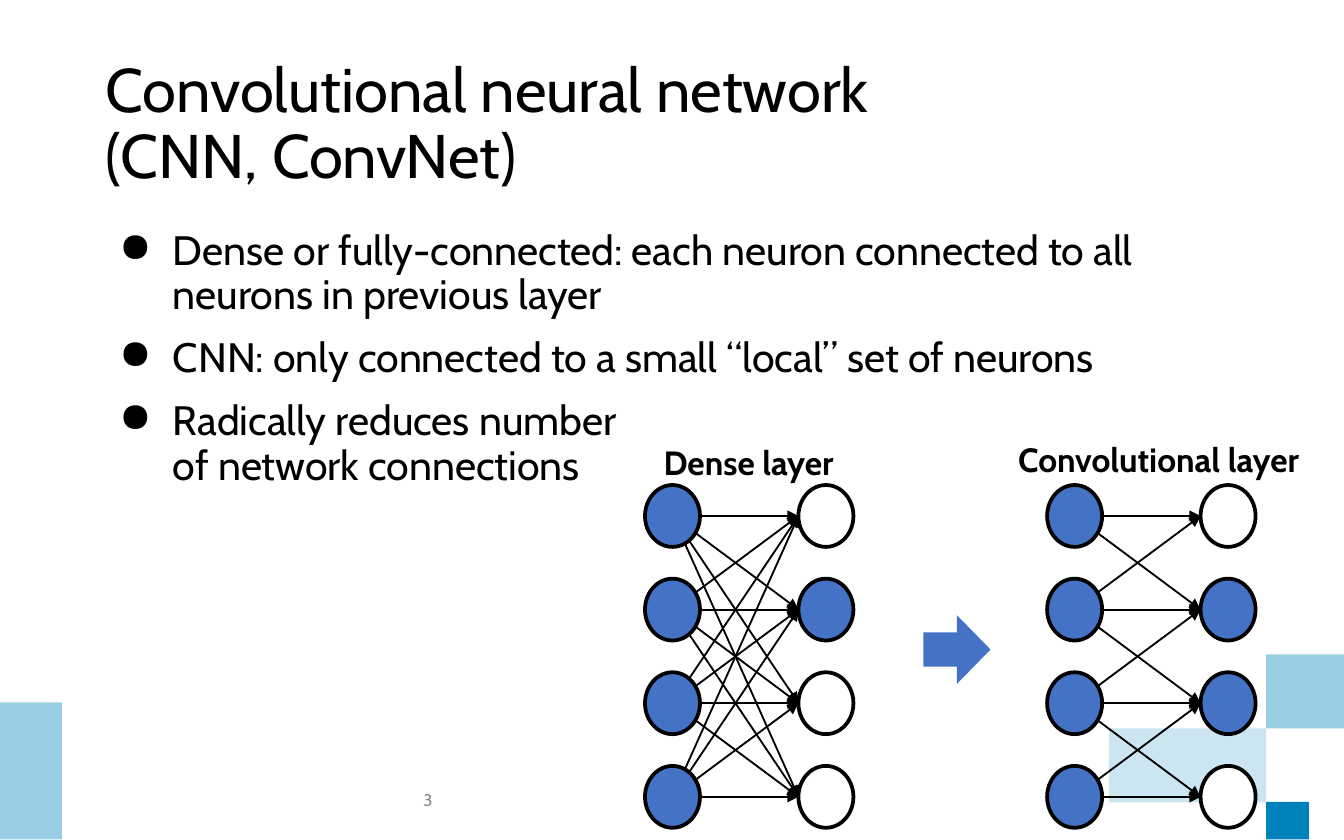
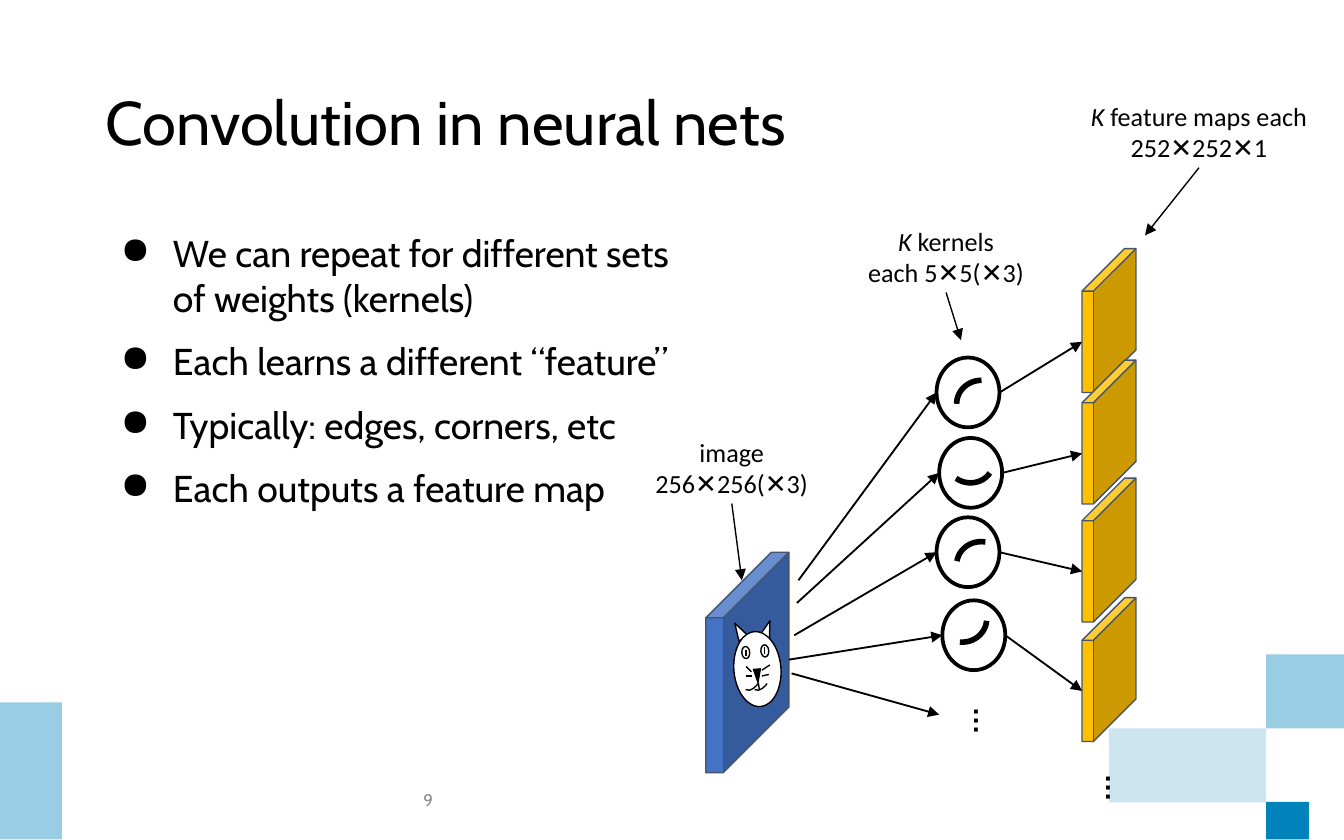
from copy import deepcopy

from lxml.etree import SubElement
from pptx import Presentation
from pptx.dml.color import RGBColor
from pptx.enum.shapes import MSO_CONNECTOR, MSO_SHAPE
from pptx.enum.text import MSO_ANCHOR, PP_ALIGN
from pptx.oxml.ns import qn
from pptx.util import Cm, Pt

# Shared look
BLACK, WHITE, GREY = "000000", "FFFFFF", "888888"
BAND, BLUE, GOLD, SLATE = "0082BB", "4472C4", "FFC000", "44546A"
BANDS = [  # left, top, width, height, opacity in percent
    (0, 13.28, 1.17, 2.59, 40),
    (23.93, 15.16, 0.81, 0.71, 100),
    (20.96, 13.77, 2.97, 1.4, 20),
    (23.93, 12.37, 1.47, 1.4, 40),
]
TITLE_BOX = (1.75, 0.84, 21.9, 3.07)
NUMBER_BOX = (7.75, 14.71, 5.72, 0.84)
BODY_LEFT, BODY_TOP, BODY_HEIGHT = 1.75, 4.22, 10.08
TITLE = dict(size=33, spacing=0.9, anchor=MSO_ANCHOR.MIDDLE)
NUMBER = dict(size=9, color=GREY, anchor=MSO_ANCHOR.MIDDLE)
LAYER_LABEL = dict(size=18, bold=True, align=PP_ALIGN.CENTER, insets=(0.18, 0.1))
NOTE = dict(size=14, face="Calibri", align=PP_ALIGN.CENTER, insets=(0.25, 0.25))
DOTS = dict(size=24, insets=(0.25, 0.25), turn=90)

# Slide 1 content
CNN = dict(
    title="Convolutional neural network\n(CNN, ConvNet)",
    number="3",
    width=21.9,
    body=dict(size=22, spacing=0.9, hang=1.02),
    points=[
        "Dense or fully-connected: each neuron connected to all neurons in previous layer",
        "CNN: only connected to a small “local” set of neurons",
        "Radically reduces number\nof network connections",
    ],
)
LAYERS = [  # label, label box, left of first column, reach of an edge, output fills
    ("Dense layer", (11, 8.26, 6.3, 1.07), 12.19, 3, [WHITE, BLUE, WHITE, WHITE]),
    ("Convolutional layer", (18.52, 8.2, 6.76, 1.07), 19.79, 1, [WHITE, BLUE, BLUE, WHITE]),
]
NEURON_W, NEURON_H = 1.04, 1.17
NEURON_TOP, NEURON_PITCH, COLUMN_GAP = 9.17, 1.77, 2.9
BETWEEN_LAYERS = (17.45, 11.63, 1.27, 1.3)

# Slide 2 content
NETS = dict(
    title="Convolution in neural nets",
    number="9",
    width=11.61,
    body=dict(size=20, hang=0.99),
    points=[
        "We can repeat for different sets of weights (kernels)",
        "Each learns a different “feature”",
        "Typically: edges, corners, etc",
        "Each outputs a feature map",
    ],
)
IMAGE_BOX = (13.34, 10.44, 1.57, 4.17)
CUBE_DEPTH = 0.79
MAP_LEFT, MAP_W, MAP_H = 20.45, 1.02, 2.72
KERNEL_W, KERNEL_H = 1.19, 1.32
STROKE_W, STROKE_H = 0.94, 0.89
KERNELS = [  # kernel corner, stroke offset, stroke turn, arrow start, map top
    ((17.7, 6.76), (0.38, 0.43), 0, (15.09, 10.97), 4.7),
    ((17.75, 8.28), (0.1, -0.05), 214.4, (15.06, 11.4), 6.81),
    ((17.7, 9.78), (0.38, 0.46), 9.5, (15.01, 12.01), 9.04),
    ((17.81, 11.35), (-0.1, -0.1), 185, (14.91, 12.47), 11.3),
]
MORE_KERNELS = ((14.96, 12.73), (17.75, 13.51))
DOTS_BOXES = [(18.03, 13.26, 1.63, 1.35), (20.52, 14.53, 1.63, 1.35)]
NOTES = [  # runs as (text, italic), box, arrow tip
    ([("image 256✕256(✕3)", False)], (11.76, 8, 4.14, 1.52), (14.02, 10.97)),
    ([("K", True), (" kernels\neach 5✕5(✕3)", False)], (15.67, 4.01, 4.42, 1.52), (18.16, 6.43)),
    ([("K", True), (" feature maps each 252✕252✕1", False)], (19.79, 1.65, 5.74, 1.52), (21.64, 4.45)),
]
CAT_PARTS = [  # preset, box, turn, fill
    (MSO_SHAPE.ISOSCELES_TRIANGLE, (13.87, 11.76, 0.2, 0.33), 330.3, WHITE),
    (MSO_SHAPE.ISOSCELES_TRIANGLE, (14.4, 11.73, 0.2, 0.33), 17.8, WHITE),
    (MSO_SHAPE.OVAL, (13.87, 11.94, 0.89, 1.42), 355.3, WHITE),
    (MSO_SHAPE.OVAL, (14.02, 12.22, 0.15, 0.23), 355.3, WHITE),
    (MSO_SHAPE.OVAL, (14.38, 12.19, 0.15, 0.23), 355.3, WHITE),
    (MSO_SHAPE.ISOSCELES_TRIANGLE, (14.25, 12.65, 0.13, 0.25), 175.3, BLACK),
    (MSO_SHAPE.ARC, (14.27, 12.62, 0.25, 0.46), 215.6, None),
    (MSO_SHAPE.ARC, (14.1, 12.62, 0.25, 0.46), 215.6, None),
]
CAT_LINES = [  # pupils, chin, whiskers
    ((14.45, 12.24), (14.45, 12.37)),
    ((14.1, 12.29), (14.1, 12.4)),
    ((14.33, 12.9), (14.35, 13.03)),
    ((14.4, 12.67), (14.55, 12.57)),
    ((14.4, 12.78), (14.53, 12.75)),
    ((14.2, 12.7), (14.1, 12.6)),
    ((14.22, 12.78), (14.1, 12.78)),
]


def rgb(value):
    return RGBColor.from_string(value)


def cm(values):
    return [Cm(value) for value in values]


# Drawing helpers
def add_part(shapes, preset, box, fill=None, line=None, weight=0.75, turn=0, opacity=100):
    part = shapes.add_shape(preset, *cm(box))
    part.shadow.inherit = False
    part.rotation = turn
    if fill:
        part.fill.solid()
        part.fill.fore_color.rgb = rgb(fill)
        if opacity < 100:
            color = part.fill._xPr.find(".//" + qn("a:srgbClr"))
            SubElement(color, qn("a:alpha")).set("val", str(opacity * 1000))
    else:
        part.fill.background()
    if line:
        part.line.color.rgb = rgb(line)
        part.line.width = Pt(weight)
    else:
        part.line.fill.background()
    if preset == MSO_SHAPE.ARC:
        part._element.spPr.xfrm.set("flipH", "1")
    return part


def add_line(shapes, start, end, weight=1, arrow=True):
    line = shapes.add_connector(MSO_CONNECTOR.STRAIGHT, *cm(start + end))
    line.line.color.rgb = rgb(BLACK)
    line.line.width = Pt(weight)
    if arrow:
        SubElement(line.line._get_or_add_ln(), qn("a:tailEnd")).set("type", "triangle")
    SubElement(line._element.spPr, qn("a:effectLst"))
    return line


def add_bullet(paragraph, hang):
    props = paragraph._p.get_or_add_pPr()
    props.set("marL", str(Cm(1.27)))
    props.set("indent", str(-Cm(hang)))
    SubElement(SubElement(props, qn("a:buClr")), qn("a:srgbClr")).set("val", BLACK)
    SubElement(props, qn("a:buChar")).set("char", "●")


def add_text(slide, paragraphs, box, size, face="Cabin", color=BLACK, bold=False, align=None,
             anchor=MSO_ANCHOR.TOP, insets=(0.25, 0.13), spacing=None, hang=None, turn=0):
    text_box = slide.shapes.add_textbox(*cm(box))
    text_box.rotation = turn
    frame = text_box.text_frame
    side, edge = cm(insets)
    frame_format = dict(word_wrap=True, vertical_anchor=anchor, margin_left=side,
                        margin_right=side, margin_top=edge, margin_bottom=edge)
    for name, value in frame_format.items():
        setattr(frame, name, value)
    for index, runs in enumerate(paragraphs):
        paragraph = frame.add_paragraph() if index else frame.paragraphs[0]
        if hang:
            add_bullet(paragraph, hang)
        paragraph_format = dict(alignment=align, line_spacing=spacing,
                                space_before=Pt(10) if index else None)
        for name, value in paragraph_format.items():
            setattr(paragraph, name, value)
        for text, italic in [(runs, False)] if isinstance(runs, str) else runs:
            add_run(paragraph, text, color, dict(name=face, size=Pt(size), bold=bold, italic=italic))
    return text_box


def add_run(paragraph, text, color, font_format):
    for index, line in enumerate(text.split("\n")):
        if index:
            paragraph.add_line_break()
            line_break = paragraph._p.findall(qn("a:br"))[-1]
            line_break.insert(0, deepcopy(run._r.rPr))
        run = paragraph.add_run()
        run.text = line
        for name, value in font_format.items():
            setattr(run.font, name, value)
        run.font.color.rgb = rgb(color)


def add_base(deck, content):
    slide = deck.slides.add_slide(deck.slide_layouts[6])
    for *box, opacity in BANDS:
        add_part(slide.shapes, MSO_SHAPE.RECTANGLE, box, BAND, opacity=opacity)
    add_text(slide, [content["title"]], TITLE_BOX, **TITLE)
    body_box = (BODY_LEFT, BODY_TOP, content["width"], BODY_HEIGHT)
    add_text(slide, content["points"], body_box, **content["body"])
    add_text(slide, [content["number"]], NUMBER_BOX, **NUMBER)
    return slide


# Slide 1: two layers of neurons side by side
def add_layer(slide, label, label_box, left, reach, outputs):
    right = left + COLUMN_GAP
    tops = [NEURON_TOP + row * NEURON_PITCH for row in range(len(outputs))]
    for source, source_top in enumerate(tops):
        for target, target_top in enumerate(tops):
            if abs(source - target) <= reach:
                add_line(slide.shapes, (left + NEURON_W / 2, source_top + NEURON_H / 2),
                         (right, target_top + NEURON_H / 2))
    for top, output in zip(tops, outputs):
        for x, fill in ((left, BLUE), (right, output)):
            add_part(slide.shapes, MSO_SHAPE.OVAL, (x, top, NEURON_W, NEURON_H), fill, BLACK, 2)
    add_text(slide, [label], label_box, **LAYER_LABEL)


# Slide 2: image, kernels and feature maps
def add_cube(slide, box, fill):
    cube = add_part(slide.shapes, MSO_SHAPE.CUBE, box, fill, SLATE)
    cube.adjustments[0] = CUBE_DEPTH


def add_cat(slide):
    cat = slide.shapes.add_group_shape().shapes
    for preset, box, turn, fill in CAT_PARTS:
        add_part(cat, preset, box, fill, BLACK, turn=turn)
    for start, end in CAT_LINES:
        add_line(cat, start, end, 0.75, arrow=False)


def add_kernel(slide, corner, offset, turn, start, map_top):
    x, y = corner
    middle = y + KERNEL_H / 2
    face_middle = map_top + (MAP_H + CUBE_DEPTH * MAP_W) / 2
    add_cube(slide, (MAP_LEFT, map_top, MAP_W, MAP_H), GOLD)
    add_line(slide.shapes, start, (x, middle))
    add_line(slide.shapes, (x + KERNEL_W, middle), (MAP_LEFT, face_middle))
    kernel = slide.shapes.add_group_shape().shapes
    add_part(kernel, MSO_SHAPE.OVAL, (x, y, KERNEL_W, KERNEL_H), WHITE, BLACK, 2)
    stroke_box = (x + offset[0], y + offset[1], STROKE_W, STROKE_H)
    add_part(kernel, MSO_SHAPE.ARC, stroke_box, None, BLACK, 3, turn)


def main():
    deck = Presentation()
    deck.slide_width, deck.slide_height = Cm(25.4), Cm(15.88)

    cnn = add_base(deck, CNN)
    for layer in LAYERS:
        add_layer(cnn, *layer)
    add_part(cnn.shapes, MSO_SHAPE.RIGHT_ARROW, BETWEEN_LAYERS, BLUE)

    nets = add_base(deck, NETS)
    add_cube(nets, IMAGE_BOX, BLUE)
    add_cat(nets)
    for kernel in KERNELS:
        add_kernel(nets, *kernel)
    add_line(nets.shapes, *MORE_KERNELS)
    for box in DOTS_BOXES:
        add_text(nets, ["..."], box, **DOTS)
    for runs, box, tip in NOTES:
        note = add_text(nets, [runs], box, **NOTE)
        pointer = add_line(nets.shapes, box[:2], tip, 0.75)
        pointer.begin_connect(note, 2)

    deck.save("out.pptx")


if __name__ == "__main__":
    main()
